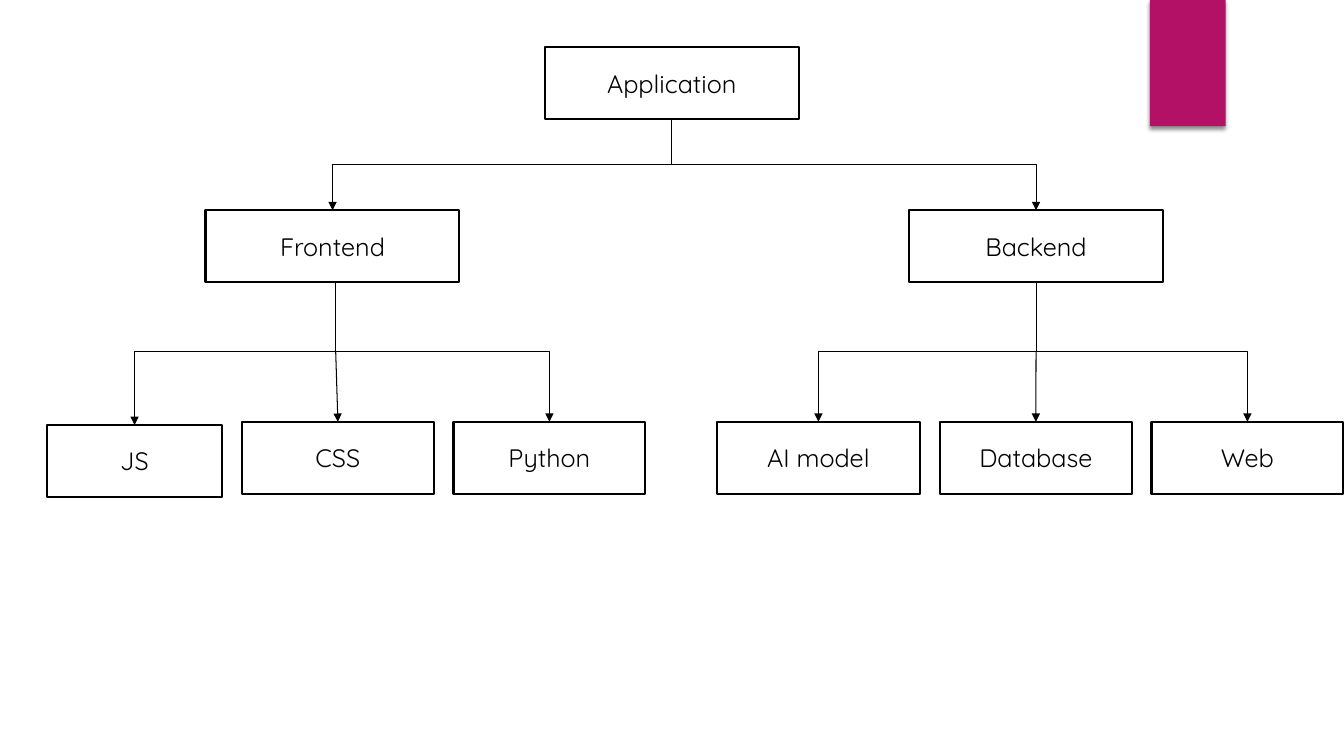
from lxml import etree
from pptx import Presentation
from pptx.dml.color import RGBColor
from pptx.enum.shapes import MSO_CONNECTOR, MSO_SHAPE
from pptx.enum.text import MSO_ANCHOR, PP_ALIGN
from pptx.oxml.ns import qn
from pptx.util import Cm, Pt

RECTANGLE = MSO_SHAPE.RECTANGLE
STRAIGHT, ELBOW = MSO_CONNECTOR.STRAIGHT, MSO_CONNECTOR.ELBOW
MIDDLE, CENTER = MSO_ANCHOR.MIDDLE, PP_ALIGN.CENTER
COLORS = {"ink": "000000", "paper": "FFFFFF", "accent": "B31166"}
FONT = "Quicksand"
TOP_SIDE = 0
NODE_WIDTH, NODE_HEIGHT, LEAF_GAP = 6.4, 1.81, 0.5
LEAF_DROP = 5.33


def color(name):
    """Return the named colour."""
    return RGBColor.from_string(COLORS[name])


def add_text(shape, text, size=18, font=FONT, ink="ink", align=CENTER):
    """Write one formatted paragraph into a shape."""
    frame = shape.text_frame
    frame.word_wrap = True
    frame.vertical_anchor = MIDDLE
    para = frame.paragraphs[0]
    para.alignment = align
    span = para.add_run()
    span.text = text
    span.font.size = Pt(size)
    span.font.name = font
    span.font.color.rgb = color(ink)


def add_node(page, text, left, top, width=NODE_WIDTH):
    """Add one outlined, labelled rectangle."""
    node = page.shapes.add_shape(RECTANGLE, Cm(left), Cm(top), Cm(width), Cm(NODE_HEIGHT))
    node.shadow.inherit = False
    node.fill.solid()
    node.fill.fore_color.rgb = color("paper")
    node.line.color.rgb = color("ink")
    node.line.width = Pt(1.5)
    add_text(node, text)
    return node


def style_arrow(connector):
    """Give a connector a thin line, a triangular head and no shadow."""
    connector.line.color.rgb = color("ink")
    connector.line.width = Pt(0.75)
    line = connector.line._get_or_add_ln()
    etree.SubElement(line, qn("a:tailEnd"), type="triangle")
    etree.SubElement(connector._element.spPr, qn("a:effectLst"))


def add_elbow(page, start, end, bus):
    """Add an arrow that goes down to the bus height, across, and down again."""
    (start_x, start_y), (end_x, end_y) = start, end
    center_x, center_y = (start_x + end_x) // 2, (start_y + end_y) // 2
    half_run, half_drop = abs(end_x - start_x) // 2, (end_y - start_y) // 2
    connector = page.shapes.add_connector(
        ELBOW, center_x - half_drop, center_y - half_run,
        center_x + half_drop, center_y + half_run)
    properties = connector._element.spPr
    frame = properties.find(qn("a:xfrm"))
    if end_x > start_x:
        frame.set("rot", str(270 * 60000))
        frame.set("flipH", "1")
    else:
        frame.set("rot", str(90 * 60000))
    bend = round(100000 * (bus - start_y) / (end_y - start_y))
    guides = properties.find(qn("a:prstGeom")).find(qn("a:avLst"))
    etree.SubElement(guides, qn("a:gd"), name="adj1", fmla=f"val {bend}")
    style_arrow(connector)


def link_children(page, parent, children, shift=0):
    """Join a parent to its children; the middle one of three gets a straight arrow."""
    start = (parent.left + parent.width // 2 + Cm(shift), parent.top + parent.height)
    bus = (start[1] + children[-1].top) // 2
    for index, child in enumerate(children):
        end = (child.left + child.width // 2, child.top)
        if len(children) == 3 and index == 1:
            arrow = page.shapes.add_connector(STRAIGHT, start[0], bus, *end)
            arrow.end_connect(child, TOP_SIDE)
            style_arrow(arrow)
        else:
            add_elbow(page, start, end, bus)


def add_branch(page, box, title, indent, leaves, shift=0):
    """Draw a branch from its left and top: a parent over a row of leaves."""
    left, top = box
    parent = add_node(page, title, left + indent, top)
    children = []
    for text, width, sag in leaves:
        children.append(add_node(page, text, left, top + LEAF_DROP + sag, width))
        left += width + LEAF_GAP
    link_children(page, parent, children, shift)
    return parent


def add_ribbon(page, box):
    """Draw the accent ribbon with its soft shadow."""
    ribbon = page.shapes.add_shape(RECTANGLE, *map(Cm, box))
    ribbon.fill.solid()
    ribbon.fill.fore_color.rgb = color("accent")
    ribbon.line.fill.background()
    ribbon.shadow.inherit = False
    effects = ribbon._element.spPr.find(qn("a:effectLst"))
    shadow = etree.SubElement(
        effects, qn("a:outerShdw"), blurRad=str(Pt(3)), dist=str(Pt(2)),
        dir=str(90 * 60000), rotWithShape="0")
    shade = etree.SubElement(shadow, qn("a:srgbClr"), val=COLORS["ink"])
    etree.SubElement(shade, qn("a:alpha"), val="45000")


def main():
    """Build and save the application diagram."""
    deck = Presentation()
    deck.slide_width, deck.slide_height = Cm(33.87), Cm(19.05)
    page = deck.slides.add_slide(deck.slide_layouts[6])
    add_ribbon(page, (28.98, 0, 1.91, 3.18))
    root = add_node(page, "Application", 13.73, 1.19)
    frontend = add_branch(
        page, (1.18, 5.3), "Frontend", 4,
        [("JS", 4.42, 0.08), ("CSS", 4.83, 0), ("Python", 4.83, 0)], shift=0.08)
    backend = add_branch(
        page, (18.06, 5.3), "Backend", 4.85,
        [("AI model", 5.13, 0), ("Database", 4.83, 0), ("Web", 4.83, 0)])
    link_children(page, root, [frontend, backend])
    deck.save("out.pptx")


if __name__ == "__main__":
    main()
